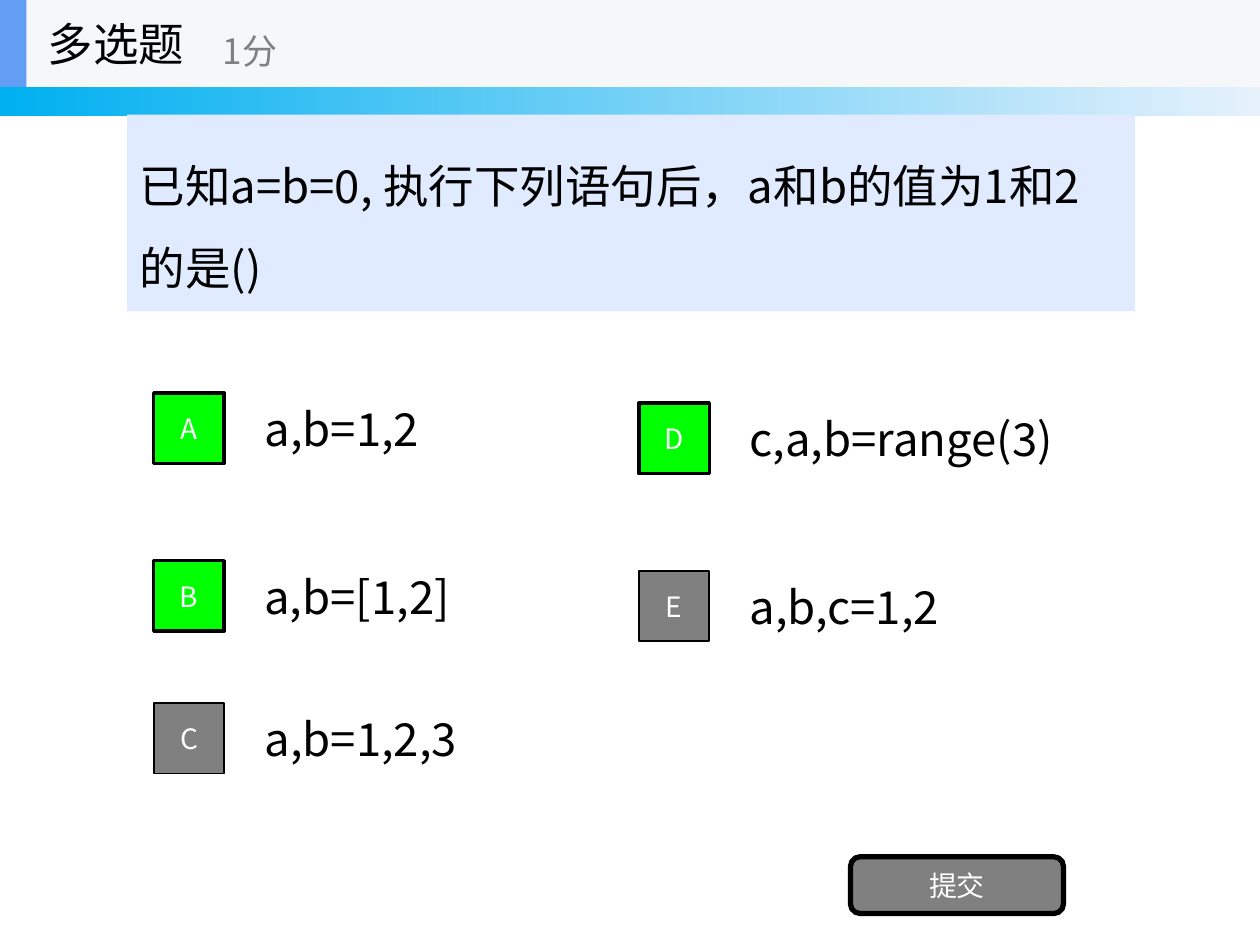
from pptx import Presentation
from pptx import util as u
from pptx.dml.color import RGBColor
from pptx.enum import shapes, text
from pptx.oxml.ns import qn
from lxml import etree

FONT = "Noto Sans CJK SC"
COLORS = {
    "black": "000000", "white": "FFFFFF", "gray": "808080",
    "correct": "00FF00", "question": "E0EBFF", "header": "F6F7F8",
    "accent": "639EF4", "band_start": "00B0F0", "band_end": "E6F1FC",
}
RECT = shapes.MSO_SHAPE.RECTANGLE
ROUNDED = shapes.MSO_SHAPE.ROUNDED_RECTANGLE
LEFT, CENTER = text.PP_ALIGN.LEFT, text.PP_ALIGN.CENTER


def rgb(name):
    return RGBColor.from_string(COLORS[name])


class QuizPage:
    def __init__(self, page):
        self.page = page

    def block(self, at, fill, kind=RECT, line=None):
        box = self.page.shapes.add_shape(kind, *map(u.Inches, at))
        box.shadow.inherit = False
        box.fill.solid()
        box.fill.fore_color.rgb = rgb(fill)
        if line:
            box.line.color.rgb = rgb("black")
            box.line.width = u.Pt(line)
        else:
            box.line.fill.background()
        return box

    def band(self, at, start, end):
        """Add a bar that fades from left to right."""
        box = self.block(at, start)
        box.fill.gradient()
        box.fill.gradient_angle = 0
        for stop, color in zip(box.fill.gradient_stops, (start, end)):
            stop.color.rgb = rgb(color)

    def set_words(self, box, words, size, color="black", align=LEFT, spacing=None):
        frame = box.text_frame
        frame.word_wrap = True
        frame.vertical_anchor = text.MSO_ANCHOR.MIDDLE
        frame.text = words
        para = frame.paragraphs[0]
        para.alignment = align
        if spacing:
            para.line_spacing = spacing
        span = para.runs[0]
        span.font.size = u.Pt(size)
        span.font.name = FONT
        span.font.color.rgb = rgb(color)
        east_asian = etree.SubElement(span.font._element, qn("a:ea"))
        east_asian.set("typeface", FONT)

    def label(self, at, words, size=26, color="black"):
        box = self.page.shapes.add_textbox(*map(u.Inches, at))
        self.set_words(box, words, size, color)

    def option(self, left, top, letter, answer, width, correct):
        """Add a lettered square with its answer to the right."""
        fill, line = ("correct", 2) if correct else ("gray", 1)
        square = self.block((left, top, 0.56, 0.56), fill, line=line)
        self.set_words(square, letter, 16, "white", CENTER)
        self.label((left + 0.78, top - 0.07, width, 0.7), answer)


def main():
    deck = Presentation()
    deck.slide_width, deck.slide_height = u.Inches(10), u.Inches(7.5)
    quiz = QuizPage(deck.slides.add_slide(deck.slide_layouts[6]))

    quiz.band((0, 0, 10, 0.92), "band_start", "band_end")
    question = quiz.block((1.01, 0.91, 8, 1.56), "question")
    quiz.set_words(question, "已知a=b=0, 执行下列语句后，a和b的值为1和2的是()",
                   26, spacing=1.5)

    options = [
        (1.22, 3.12, "A", "a,b=1,2", 1.91, True),
        (1.22, 4.45, "B", "a,b=[1,2]", 2, True),
        (1.22, 5.58, "C", "a,b=1,2,3", 2.05, False),
        (5.07, 3.2, "D", "c,a,b=range(3)", 2.96, True),
        (5.07, 4.53, "E", "a,b,c=1,2", 2.21, False),
    ]
    for option in options:
        quiz.option(*option)

    submit = quiz.block((6.75, 6.8, 1.69, 0.45), "gray", ROUNDED, line=3)
    quiz.set_words(submit, "提交", 16, "white", CENTER)

    quiz.block((0, 0, 10, 0.69), "header")
    quiz.block((0, 0, 0.21, 0.69), "accent")
    quiz.label((0.28, 0, 2.08, 0.69), "多选题")
    quiz.label((1.67, 0.12, 2.5, 0.56), "1分", 20, "gray")

    deck.save("out.pptx")


if __name__ == "__main__":
    main()
